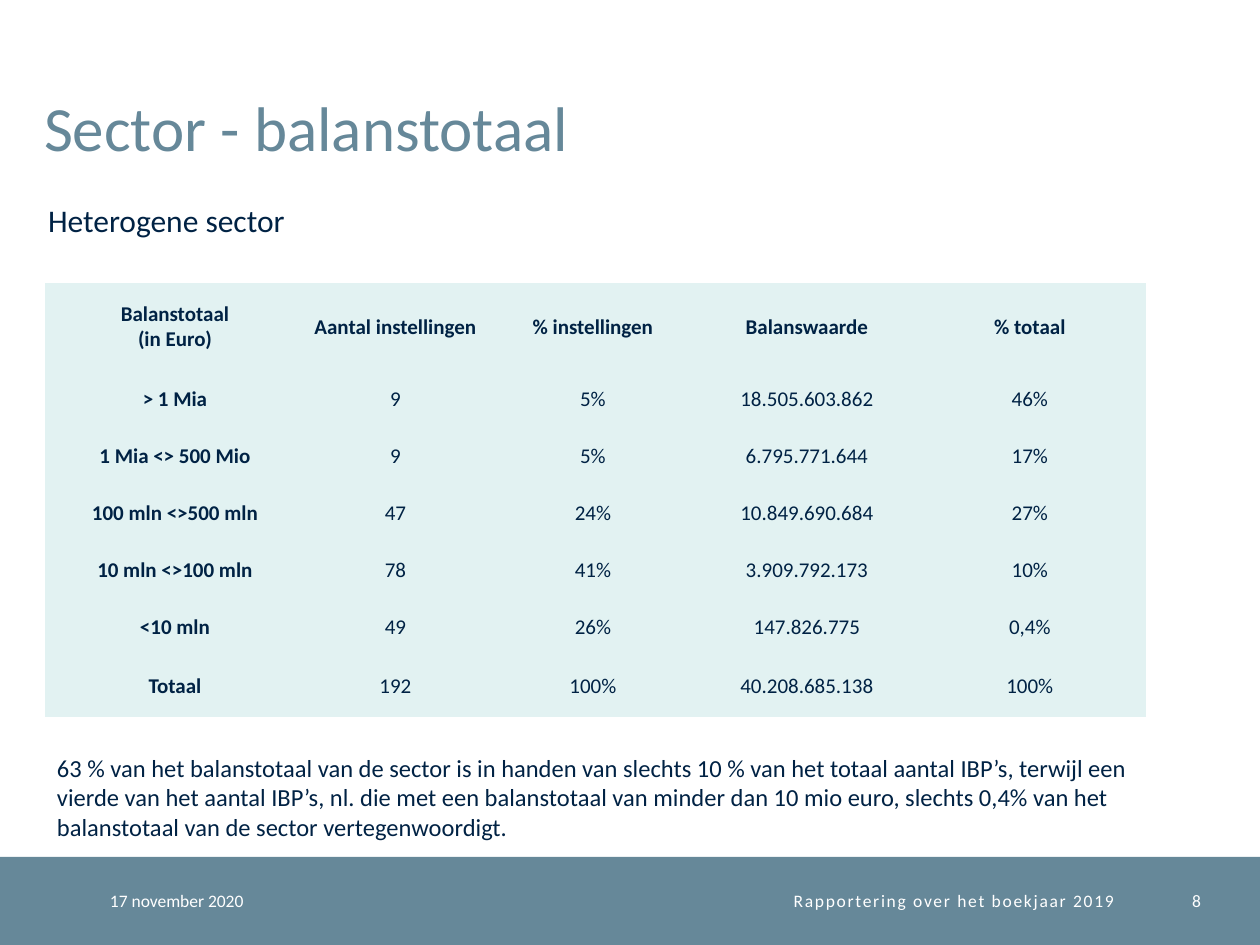
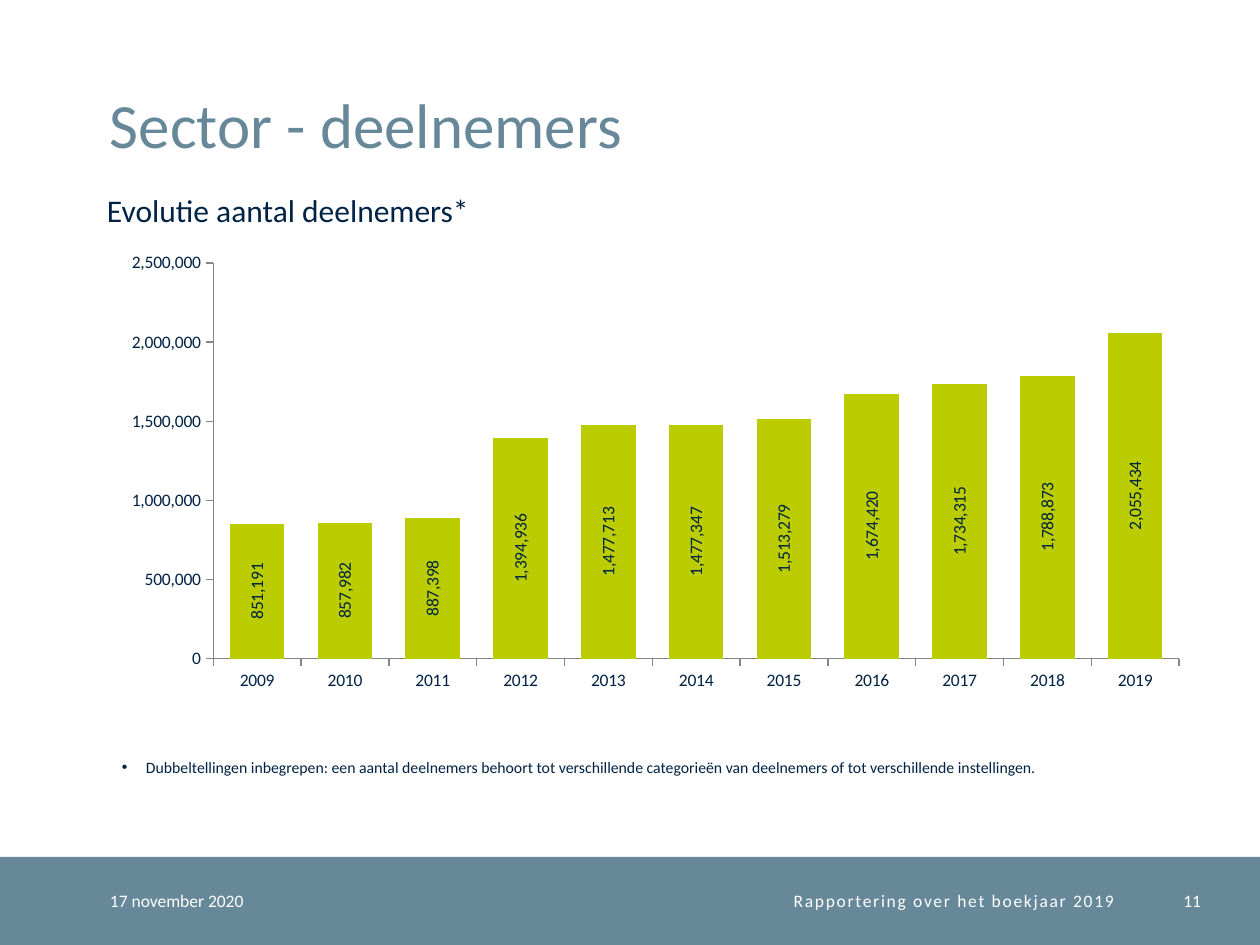
from pptx import Presentation
from pptx.chart.data import CategoryChartData
from pptx.dml.color import RGBColor
from pptx.enum.chart import XL_CHART_TYPE, XL_LABEL_POSITION, XL_TICK_MARK
from pptx.enum.shapes import MSO_SHAPE
from pptx.enum.text import MSO_ANCHOR, PP_ALIGN
from pptx.oxml.ns import qn
from pptx.util import Pt
from lxml.etree import SubElement

EMU_PER_PX = 914400 / 126
FONT = "Calibri"
SLATE, NAVY, WHITE = "668899", "002244", "FFFFFF"
PALE, LIME, GREY = "E2F2F2", "BBCC00", "868686"
NO_GRID_STYLE = "{2D5ABB26-0587-4C30-8999-92F81FD0307C}"
FOOTER_TOP, FOOTER_HEIGHT = 857, 88

COLUMN_WIDTHS = [260, 181, 214, 214, 232]
ROW_HEIGHTS = [88] + [57] * 5 + [61]
BALANCE_ROWS = [
    ["Balanstotaal\n(in Euro)", "Aantal instellingen", "% instellingen", "Balanswaarde", "% totaal"],
    ["> 1 Mia", "9", "5%", "18.505.603.862", "46%"],
    ["1 Mia <> 500 Mio", "9", "5%", "6.795.771.644", "17%"],
    ["100 mln <>500 mln", "47", "24%", "10.849.690.684", "27%"],
    ["10 mln <>100 mln", "78", "41%", "3.909.792.173", "10%"],
    ["<10 mln", "49", "26%", "147.826.775", "0,4%"],
    ["Totaal", "192", "100%", "40.208.685.138", "100%"],
]
YEARS = [str(year) for year in range(2009, 2020)]
PARTICIPANTS = [851191, 857982, 887398, 1394936, 1477713, 1477347,
                1513279, 1674420, 1734315, 1788873, 2055434]


def px(*values):
    return [round(value * EMU_PER_PX) for value in values]


def rgb(color):
    return RGBColor.from_string(color)


def style_font(font, size, color, bold=False):
    font.name = FONT
    font.size = Pt(size)
    font.bold = bold
    font.color.rgb = rgb(color)


def fill_text(tf, text, size, color, align=PP_ALIGN.LEFT, bold=False):
    tf.text = text
    for p in tf.paragraphs:
        p.alignment = align
        for r in p.runs:
            style_font(r.font, size, color, bold)


def add_text(slide, box, text, size, color=NAVY, align=PP_ALIGN.LEFT,
             anchor=MSO_ANCHOR.TOP, insets=(13, 6)):
    tf = slide.shapes.add_textbox(*px(*box)).text_frame
    tf.word_wrap = True
    tf.vertical_anchor = anchor
    tf.margin_left = tf.margin_right = px(insets[0])[0]
    tf.margin_top = tf.margin_bottom = px(insets[1])[0]
    fill_text(tf, text, size, color, align)
    return tf.paragraphs[0]


def add_title(slide, left, top, text):
    p = add_text(slide, (left, top, 1087, 136), text, 36, SLATE,
                 anchor=MSO_ANCHOR.BOTTOM, insets=(0, 0))
    p.line_spacing = Pt(32)


def add_footer_text(slide, left, width, text, align):
    return add_text(slide, (left, FOOTER_TOP, width, FOOTER_HEIGHT), text, 10,
                    WHITE, align, MSO_ANCHOR.MIDDLE, (0, 0))


def add_slide(prs, number):
    slide = prs.slides.add_slide(prs.slide_layouts[6])
    band = slide.shapes.add_shape(
        MSO_SHAPE.RECTANGLE, *px(0, FOOTER_TOP, 1260, FOOTER_HEIGHT))
    band.shadow.inherit = False
    band.fill.solid()
    band.fill.fore_color.rgb = rgb(SLATE)
    band.line.fill.background()
    add_footer_text(slide, 110, 223, "17 november 2020", PP_ALIGN.LEFT)
    p = add_footer_text(slide, 333, 781, "Rapportering over het boekjaar 2019", PP_ALIGN.RIGHT)
    p.runs[0].font._element.set("spc", "100")
    add_footer_text(slide, 1139, 62, str(number), PP_ALIGN.RIGHT)
    return slide


def add_bullet(p, indent):
    pPr = p._p.get_or_add_pPr()
    pPr.set("marL", str(indent))
    pPr.set("indent", str(-indent))
    SubElement(pPr, qn("a:buFont")).set("typeface", "Arial")
    SubElement(pPr, qn("a:buChar")).set("char", "•")


def add_balance_table(slide, left, top):
    frame = slide.shapes.add_table(
        len(ROW_HEIGHTS), len(COLUMN_WIDTHS),
        *px(left, top, sum(COLUMN_WIDTHS), sum(ROW_HEIGHTS)))
    frame._element.xpath(".//a:tableStyleId")[0].text = NO_GRID_STYLE
    table = frame.table
    for column, width in zip(table.columns, px(*COLUMN_WIDTHS)):
        column.width = width
    for row, height in zip(table.rows, px(*ROW_HEIGHTS)):
        row.height = height
    for i, texts in enumerate(BALANCE_ROWS):
        for j, text in enumerate(texts):
            cell = table.cell(i, j)
            cell.fill.solid()
            cell.fill.fore_color.rgb = rgb(PALE)
            cell.vertical_anchor = MSO_ANCHOR.MIDDLE
            cell.margin_left = cell.margin_right = 0
            cell.margin_top = cell.margin_bottom = 0
            fill_text(cell.text_frame, text, 12, NAVY, PP_ALIGN.CENTER, i == 0 or j == 0)


def add_participants_chart(slide, box):
    data = CategoryChartData(number_format="#,##0")
    data.categories = YEARS
    data.add_series("Deelnemers", PARTICIPANTS)
    chart = slide.shapes.add_chart(XL_CHART_TYPE.COLUMN_STACKED, *px(*box), data).chart
    chart.has_legend = False
    chart.has_title = False
    style_font(chart.font, 10, NAVY)

    for axis in (chart.category_axis, chart.value_axis):
        axis.has_major_gridlines = False
        axis.major_tick_mark = XL_TICK_MARK.OUTSIDE
        axis.minor_tick_mark = XL_TICK_MARK.NONE
        axis.format.line.color.rgb = rgb(GREY)
        axis.format.line.width = Pt(0.75)
    chart.value_axis.minimum_scale = 0
    chart.value_axis.tick_labels.number_format = "#,##0"
    chart.value_axis.tick_labels.number_format_is_linked = False

    plot = chart.plots[0]
    plot.gap_width = 61
    plot.overlap = 100
    plot.vary_by_categories = False
    fill = plot.series[0].format.fill
    fill.solid()
    fill.fore_color.rgb = rgb(LIME)

    plot.has_data_labels = True
    labels = plot.data_labels
    labels.show_value = True
    labels.position = XL_LABEL_POSITION.CENTER
    labels.number_format = "#,##0"
    labels.number_format_is_linked = False
    style_font(labels.font, 10, NAVY)
    body = labels._element.xpath("c:txPr/a:bodyPr")[0]
    body.set("rot", "-5400000")
    body.set("vert", "horz")


def build_balance_slide(prs):
    slide = add_slide(prs, 8)
    add_title(slide, 44, 28, "Sector - balanstotaal")
    add_text(slide, (35, 195, 407, 50), "Heterogene sector", 18)
    add_balance_table(slide, 45, 283)
    add_text(slide, (44, 747, 1111, 102),
             "63 % van het balanstotaal van de sector is in handen van slechts 10 % "
             "van het totaal aantal IBP’s, terwijl een vierde van het aantal IBP’s, "
             "nl. die met een balanstotaal van minder dan 10 mio euro, slechts 0,4% "
             "van het balanstotaal van de sector vertegenwoordigt.", 14)


def build_participants_slide(prs):
    slide = add_slide(prs, 11)
    add_title(slide, 110, 25, "Sector - deelnemers")
    add_text(slide, (94, 185, 1131, 50), "Evolutie aantal deelnemers*", 18)
    note = add_text(slide, (109, 752, 968, 32),
                    "Dubbeltellingen inbegrepen: een aantal deelnemers behoort tot "
                    "verschillende categorieën van deelnemers of tot verschillende "
                    "instellingen.", 9)
    add_bullet(note, px(24)[0])
    add_participants_chart(slide, (110, 244, 1091, 456))


def main():
    prs = Presentation()
    prs.slide_width, prs.slide_height = px(1260, 945)
    build_balance_slide(prs)
    build_participants_slide(prs)
    prs.save("out.pptx")


if __name__ == "__main__":
    main()
